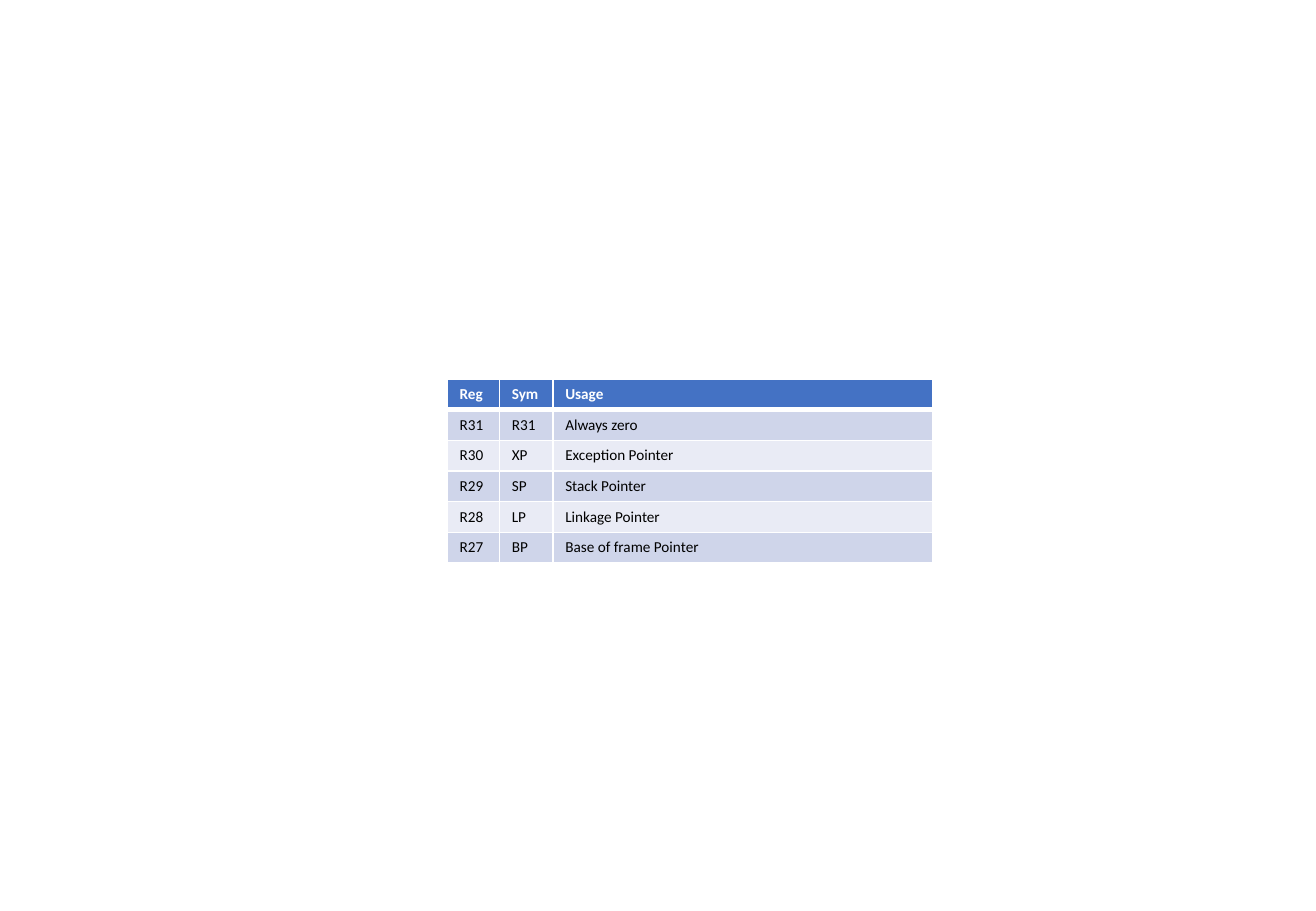
import pptx
import pptx.dml.color
import pptx.util
import pptx.oxml.ns
from lxml import etree

WIDE, HIGH = 10.83, 7.5
FONT, SIZE = "Calibri", 9
WHITE, BLACK, BLUE = "FFFFFF", "000000", "4472C4"
BANDS = ("CFD5EA", "E9EBF5")
COLS = (0.43, 0.44, 3.12)
ROW = 0.25
REGS = (
    ("Reg", "Sym", "Usage"),
    ("R31", "R31", "Always zero"),
    ("R30", "XP", "Exception Pointer"),
    ("R29", "SP", "Stack Pointer"),
    ("R28", "LP", "Linkage Pointer"),
    ("R27", "BP", "Base of frame Pointer"),
)


def color(text):
    return pptx.dml.color.RGBColor.from_string(text)


def edge(cell, side, width):
    """Draw one white border of a cell."""
    tag = pptx.oxml.ns.qn
    line = etree.SubElement(cell._tc.get_or_add_tcPr(), tag("a:ln" + side),
                            w=str(pptx.util.Pt(width)))
    fill = etree.SubElement(line, tag("a:solidFill"))
    etree.SubElement(fill, tag("a:srgbClr"), val=WHITE)


def style(cell, text, row):
    """Fill one cell, with borders, band colour and text."""
    head = row == 0
    # The rule under the header is shared by the first two rows
    edge(cell, "L", 1)
    edge(cell, "R", 1)
    edge(cell, "T", 3 if row == 1 else 1)
    edge(cell, "B", 3 if head else 1)
    cell.fill.solid()
    cell.fill.fore_color.rgb = color(BLUE if head else BANDS[(row - 1) % 2])
    run = cell.text_frame.paragraphs[0].add_run()
    run.text = text
    run.font.name = FONT
    run.font.size = pptx.util.Pt(SIZE)
    run.font.bold = head
    run.font.color.rgb = color(WHITE if head else BLACK)


def table(slide, left, top):
    """Place the register table at the given corner."""
    inch = pptx.util.Inches
    grid = slide.shapes.add_table(
        len(REGS), len(COLS), inch(left), inch(top),
        inch(sum(COLS)), inch(ROW * len(REGS))).table
    for col, width in zip(grid.columns, COLS):
        col.width = inch(width)
    for i, words in enumerate(REGS):
        grid.rows[i].height = inch(ROW)
        for j, text in enumerate(words):
            style(grid.cell(i, j), text, i)


def main():
    deck = pptx.Presentation()
    deck.slide_width = pptx.util.Inches(WIDE)
    deck.slide_height = pptx.util.Inches(HIGH)
    # Blank layout: the slide has no title
    slide = deck.slides.add_slide(deck.slide_layouts[6])
    table(slide, 0.34 * WIDE, 0.416 * HIGH)
    deck.save("out.pptx")


if __name__ == "__main__":
    main()
